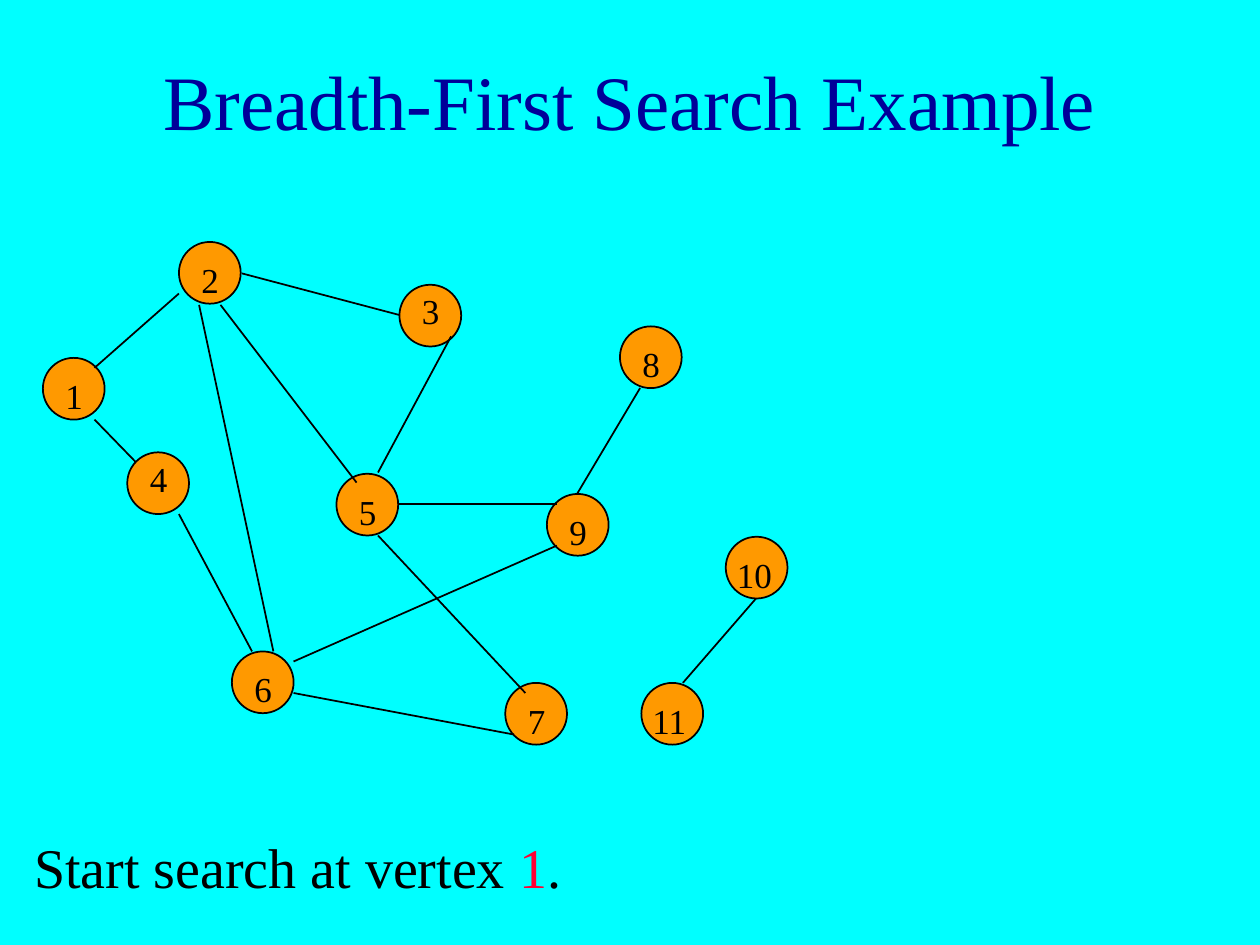
from dataclasses import dataclass

from lxml.etree import SubElement
from pptx import Presentation
from pptx.dml.color import RGBColor as RGB
from pptx.enum.shapes import MSO_CONNECTOR as LINK, MSO_SHAPE as SHAPE
from pptx.enum.text import MSO_ANCHOR as ANCHOR, MSO_AUTO_SIZE as FIT, PP_ALIGN as ALIGN
from pptx.oxml.ns import qn
from pptx.util import Inches, Pt


@dataclass
class Theme:
    """Colours, type sizes and line weight."""
    back: str = "00FFFF"
    head: str = "000099"
    ink: str = "000000"
    mark: str = "FF0033"
    node: str = "FF9900"
    font: str = "Times New Roman"
    title: int = 44
    body: int = 32
    label: int = 20
    line: int = 1


SIZE = 0.49
# vertex: (left, top of circle, label shift right, label shift down)
NODES = {
    1: (0.34, 2.84, 0.08, 0.08),
    2: (1.42, 1.92, 0.08, 0.08),
    3: (3.17, 2.26, 0.08, -0.01),
    4: (1.01, 3.59, 0.08, -0.01),
    5: (2.67, 3.76, 0.08, 0.08),
    6: (1.84, 5.17, 0.08, 0.08),
    7: (4.01, 5.42, 0.08, 0.08),
    8: (4.92, 2.59, 0.08, 0.08),
    9: (4.34, 3.92, 0.08, 0.08),
    10: (5.76, 4.26, -0.01, 0.08),
    11: (5.09, 5.42, -0.01, 0.08),
}
# (start x, start y, end x, end y)
EDGES = [
    (1.42, 2.33, 0.75, 2.92),  # 2-1
    (1.75, 2.42, 2.83, 3.83),  # 2-5
    (0.75, 3.33, 1.08, 3.67),  # 1-4
    (1.42, 4.08, 2, 5.17),  # 4-6
    (2.33, 5.5, 4.08, 5.83),  # 6-7
    (3.58, 2.67, 3, 3.75),  # 3-5
    (3, 4.25, 4.17, 5.5),  # 5-7
    (5.08, 3.08, 4.58, 3.92),  # 8-9
    (5.42, 5.42, 6, 4.75),  # 11-10
    (3.17, 4, 4.42, 4),  # 5-9
    (1.92, 2.17, 3.17, 2.5),  # 2-3
    (1.58, 2.42, 2.17, 5.17),  # 2-6
    (2.33, 5.25, 4.42, 4.33),  # 6-9
]


class Deck:
    """Holds the theme and the current slide."""

    def __init__(self, deck, theme):
        """Add a slide with a plain background."""
        self.theme = theme
        self.slide = deck.slides.add_slide(deck.slide_layouts[1])
        self.shapes = self.slide.shapes
        self.paint(self.slide.background.fill, theme.back)

    def paint(self, fill, color):
        """Give a fill one solid colour."""
        fill.solid()
        fill.fore_color.rgb = RGB.from_string(color)

    def stroke(self, line):
        """Give a line the theme's ink and weight."""
        self.paint(line.fill, self.theme.ink)
        line.width = Pt(self.theme.line)

    def text(self, shape, runs, size, **form):
        """Fill a shape with one paragraph of (text, colour) runs."""
        frame = shape.text_frame
        form = {"word_wrap": True, "auto_size": FIT.NONE, **form}
        for name, value in form.items():
            setattr(frame, name, value)
        para = frame.paragraphs[0]
        for words, color in runs:
            run = para.add_run()
            run.text = words
            look = {"name": self.theme.font, "size": Pt(size)}
            for name, value in look.items():
                setattr(run.font, name, value)
            run.font.color.rgb = RGB.from_string(color)
        return para

    def place(self, shape, *box):
        """Move a placeholder to left, top, width, height."""
        for name, value in zip(("left", "top", "width", "height"), box):
            setattr(shape, name, Inches(value))
        return shape

    def title(self, words, *box):
        """Set the slide title."""
        shape = self.place(self.shapes.title, *box)
        para = self.text(shape, [(words, self.theme.head)], self.theme.title,
                         vertical_anchor=ANCHOR.MIDDLE)
        para.alignment = ALIGN.CENTER

    def body(self, runs, *box):
        """Set the body text, without a bullet."""
        shape = self.place(self.slide.placeholders[1], *box)
        para = self.text(shape, runs, self.theme.body, vertical_anchor=ANCHOR.TOP)
        props = para._p.get_or_add_pPr()
        props.set("marL", str(Inches(0.38)))
        props.set("indent", str(Inches(-0.38)))
        SubElement(props, qn("a:buNone"))

    def node(self, left, top):
        """Draw the circle of a vertex."""
        box = map(Inches, (left, top, SIZE, SIZE))
        shape = self.shapes.add_shape(SHAPE.OVAL, *box)
        shape.shadow.inherit = False
        self.paint(shape.fill, self.theme.node)
        self.stroke(shape.line)

    def edge(self, *ends):
        """Draw a line between two vertices."""
        line = self.shapes.add_connector(LINK.STRAIGHT, *map(Inches, ends))
        self.stroke(line.line)
        SubElement(line._element.spPr, qn("a:effectLst"))

    def label(self, words, left, top):
        """Add the number of a vertex."""
        width = 0.25 * len(words)
        box = self.shapes.add_textbox(*map(Inches, (left, top, width, 0.43)))
        self.text(box, [(words, self.theme.ink)], self.theme.label,
                  auto_size=FIT.SHAPE_TO_FIT_TEXT)


def main():
    """Build the slide and save it."""
    deck = Presentation()
    deck.slide_width, deck.slide_height = Inches(10), Inches(7.5)
    theme = Theme()
    page = Deck(deck, theme)
    page.title("Breadth-First Search Example", 0.75, 0.17, 8.5, 1.25)
    page.body([("Start search at vertex ", theme.ink), ("1", theme.mark),
               (".", theme.ink)], 0.17, 6.56, 8.5, 0.78)
    for left, top, _, _ in NODES.values():
        page.node(left, top)
    for ends in EDGES:
        page.edge(*ends)
    for name, (left, top, right, down) in NODES.items():
        page.label(str(name), left + right, top + down)
    deck.save("out.pptx")


main()
